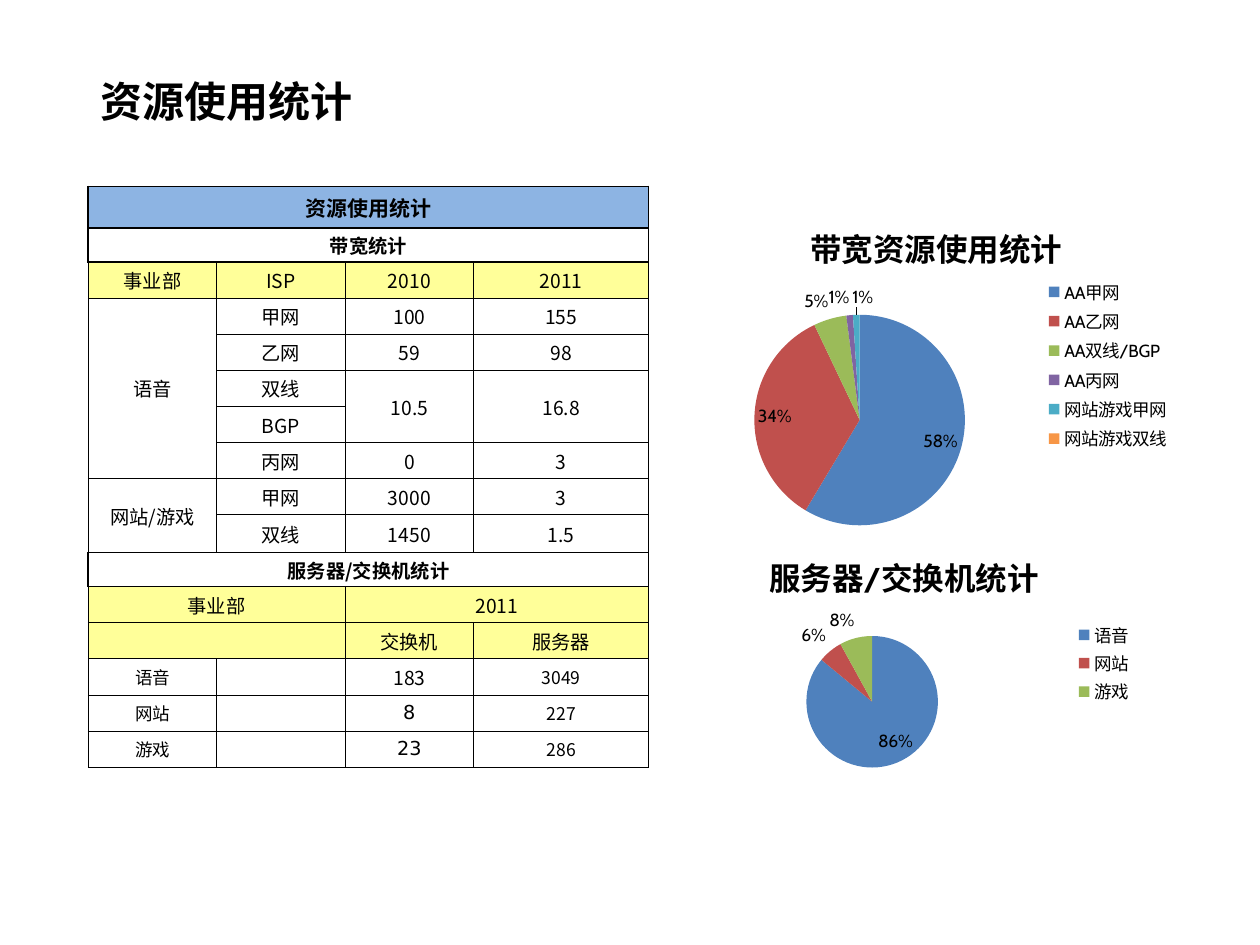
from lxml import etree
from pptx import Presentation
from pptx.chart.data import CategoryChartData
from pptx.dml.color import RGBColor
from pptx.enum.chart import XL_CHART_TYPE, XL_LABEL_POSITION, XL_LEGEND_POSITION
from pptx.enum.text import MSO_ANCHOR, PP_ALIGN
from pptx.oxml import parse_xml
from pptx.oxml.ns import nsdecls, qn
from pptx.util import Inches, Pt

BLACK = RGBColor(0x00, 0x00, 0x00)
BLUE = RGBColor(0x8D, 0xB4, 0xE3)
YELLOW = RGBColor(0xFF, 0xFF, 0x99)
SLICE_COLORS = [RGBColor.from_string(color) for color in
                ("4F81BD", "C0504D", "9BBB59", "8064A2", "4BACC6", "F79646")]
CJK, LATIN, DIGITS = "Noto Sans CJK SC", "Cabin", "DejaVu Sans"

# Content
TITLE = "资源使用统计"
ROWS = [
    ["资源使用统计", "", "", ""],
    ["带宽统计", "", "", ""],
    ["事业部", "ISP", "2010", "2011"],
    ["语音", "甲网", "100", "155"],
    ["", "乙网", "59", "98"],
    ["", "双线", "10.5", "16.8"],
    ["", "BGP", "", ""],
    ["", "丙网", "0", "3"],
    ["网站/游戏", "甲网", "3000", "3"],
    ["", "双线", "1450", "1.5"],
    ["服务器/交换机统计", "", "", ""],
    ["事业部", "", "2011", ""],
    ["", "", "交换机", "服务器"],
    ["语音", "", "183", "3049"],
    ["网站", "", "8", "227"],
    ["游戏", "", "23", "286"],
]
BANNER_ROWS, YELLOW_ROWS = (0, 1, 10), (2, 11, 12)
FIRST_SERVER_ROW = 13
MERGES = [((row, 0), (row, 3)) for row in BANNER_ROWS] + [
    ((3, 0), (7, 0)), ((5, 2), (6, 2)), ((5, 3), (6, 3)), ((8, 0), (9, 0)),
    ((11, 0), (11, 1)), ((11, 2), (11, 3)), ((12, 0), (12, 1)),
]
TABLE_BOX = (0.7, 1.48, 4.45, 4.61)
COLUMN_WIDTH = 1.02
SPECIAL_HEIGHTS = {0: 0.33, 1: 0.27, 9: 0.3, 10: 0.27}

# Layouts are fractions of the chart: left, top, width, height
CHARTS = [
    dict(title="带宽资源使用统计", box=(5.39, 1.48, 3.98, 2.81),
         slices={"AA甲网": 58, "AA乙网": 34, "AA双线/BGP": 5, "AA丙网": 1,
                 "网站游戏甲网": 1, "网站游戏双线": 0},
         title_at=(0.25, 0.08), plot_at=(0.15, 0.36, 0.42, 0.6),
         legend_at=(0.72, 0.25, 0.27, 0.51)),
    dict(title="服务器/交换机统计", box=(5.31, 4.14, 3.75, 2.27),
         slices={"语音": 86, "网站": 6, "游戏": 8},
         title_at=(0.2, 0.08), plot_at=(0.29, 0.4, 0.28, 0.46),
         legend_at=(0.85, 0.34, 0.14, 0.31)),
]


def write(frame, text, size=11, font=CJK, bold=False, align=PP_ALIGN.LEFT):
    paragraph = frame.paragraphs[0]
    paragraph.alignment = align
    if not text:
        paragraph._p.get_or_add_endParaRPr().set("sz", str(size * 100))
        return
    run = paragraph.add_run()
    run.text = text
    run.font.size, run.font.bold, run.font.name = Pt(size), bold, font
    run.font.color.rgb = BLACK
    east_asian = etree.SubElement(run._r.get_or_add_rPr(), qn("a:ea"))
    east_asian.set("typeface", CJK)


def set_borders(cell, row):
    """Lines around the banner rows are 1 pt, all others half a point."""
    banner = row in BANNER_ROWS
    widths = {"L": banner, "R": banner,
              "T": banner or row - 1 in BANNER_ROWS,
              "B": banner or row + 1 in BANNER_ROWS}
    properties = cell._tc.get_or_add_tcPr()
    for side, thick in widths.items():
        properties.append(parse_xml(
            f'<a:ln{side} {nsdecls("a")} w="{Pt(1 if thick else 0.5)}">'
            f'<a:solidFill><a:srgbClr val="{BLACK}"/></a:solidFill></a:ln{side}>'))


def cell_format(row, column, text):
    if row in BANNER_ROWS:
        return dict(size=12 if row == 0 else 11, bold=True)
    if row >= FIRST_SERVER_ROW and column != 2:
        return dict(size=10)
    if row > FIRST_SERVER_ROW:
        return dict(font=DIGITS)
    return {}


def add_statistics_table(slide):
    table = slide.shapes.add_table(len(ROWS), 4, *map(Inches, TABLE_BOX)).table
    table.first_row = table.horz_banding = False
    width, height = TABLE_BOX[2:]
    for index, column in enumerate(table.columns):
        column.width = Inches(COLUMN_WIDTH if index < 3 else width - 3 * COLUMN_WIDTH)
    plain_height = ((height - sum(SPECIAL_HEIGHTS.values()))
                    / (len(ROWS) - len(SPECIAL_HEIGHTS)))
    for index, row in enumerate(table.rows):
        row.height = Inches(SPECIAL_HEIGHTS.get(index, plain_height))

    for row, texts in enumerate(ROWS):
        for column, text in enumerate(texts):
            cell = table.cell(row, column)
            cell.margin_left = cell.margin_right = 0
            cell.margin_top = cell.margin_bottom = 0
            cell.vertical_anchor = MSO_ANCHOR.MIDDLE
            write(cell.text_frame, text, align=PP_ALIGN.CENTER,
                  **cell_format(row, column, text))
            set_borders(cell, row)
            if row == 0 or row in YELLOW_ROWS:
                cell.fill.solid()
                cell.fill.fore_color.rgb = BLUE if row == 0 else YELLOW
            else:
                cell.fill.background()
    for first, last in MERGES:
        table.cell(*first).merge(table.cell(*last))


def place(element, position, box, inner=False):
    """Give a chart part a fixed layout, as child number `position`."""
    for old in element.findall(qn("c:layout")):
        element.remove(old)
    parts = '<c:layoutTarget val="inner"/>' if inner else ""
    parts += "".join(f'<c:{name}Mode val="edge"/>' for name in "xy")
    parts += "".join(f'<c:{name} val="{value}"/>' for name, value in zip("xywh", box))
    element.insert(position, parse_xml(
        f'<c:layout {nsdecls("c")}><c:manualLayout>{parts}</c:manualLayout></c:layout>'))


def add_pie(slide, title, box, slices, title_at, plot_at, legend_at):
    data = CategoryChartData()
    data.categories = list(slices)
    data.add_series("Series 1", list(slices.values()))
    chart = slide.shapes.add_chart(XL_CHART_TYPE.PIE, *map(Inches, box), data).chart
    chart.font.size, chart.font.name = Pt(10), LATIN
    chart.font.color.rgb = BLACK

    chart.has_title = True
    write(chart.chart_title.text_frame, title, size=18, font=LATIN, bold=True,
          align=PP_ALIGN.CENTER)
    chart.has_legend = True
    chart.legend.position = XL_LEGEND_POSITION.RIGHT
    chart.legend.include_in_layout = False

    plot = chart.plots[0]
    plot.vary_by_categories = True
    for index in range(len(slices)):
        fill = plot.series[0].points[index].format.fill
        fill.solid()
        fill.fore_color.rgb = SLICE_COLORS[index]
    plot.has_data_labels = True
    labels = plot.data_labels
    # The values are whole percentages
    labels.show_value, labels.show_percentage = True, False
    labels.number_format, labels.number_format_is_linked = '0"%"', False
    labels.position = XL_LABEL_POSITION.BEST_FIT

    place(chart.chart_title._element, 1, title_at)
    place(chart.legend._element, 1, legend_at)
    place(chart._chartSpace.chart.plotArea, 0, plot_at, inner=True)


def main():
    presentation = Presentation()
    presentation.slide_width, presentation.slide_height = Inches(10), Inches(7.5)
    slide = presentation.slides.add_slide(presentation.slide_layouts[6])

    # Heading
    heading = slide.shapes.add_textbox(*map(Inches, (0.7, 0.55, 4.61, 0.5))).text_frame
    heading.word_wrap = True
    write(heading, TITLE, size=24, bold=True)

    # Table on the left, pies on the right
    add_statistics_table(slide)
    for chart in CHARTS:
        add_pie(slide, **chart)
    presentation.save("out.pptx")


if __name__ == "__main__":
    main()
